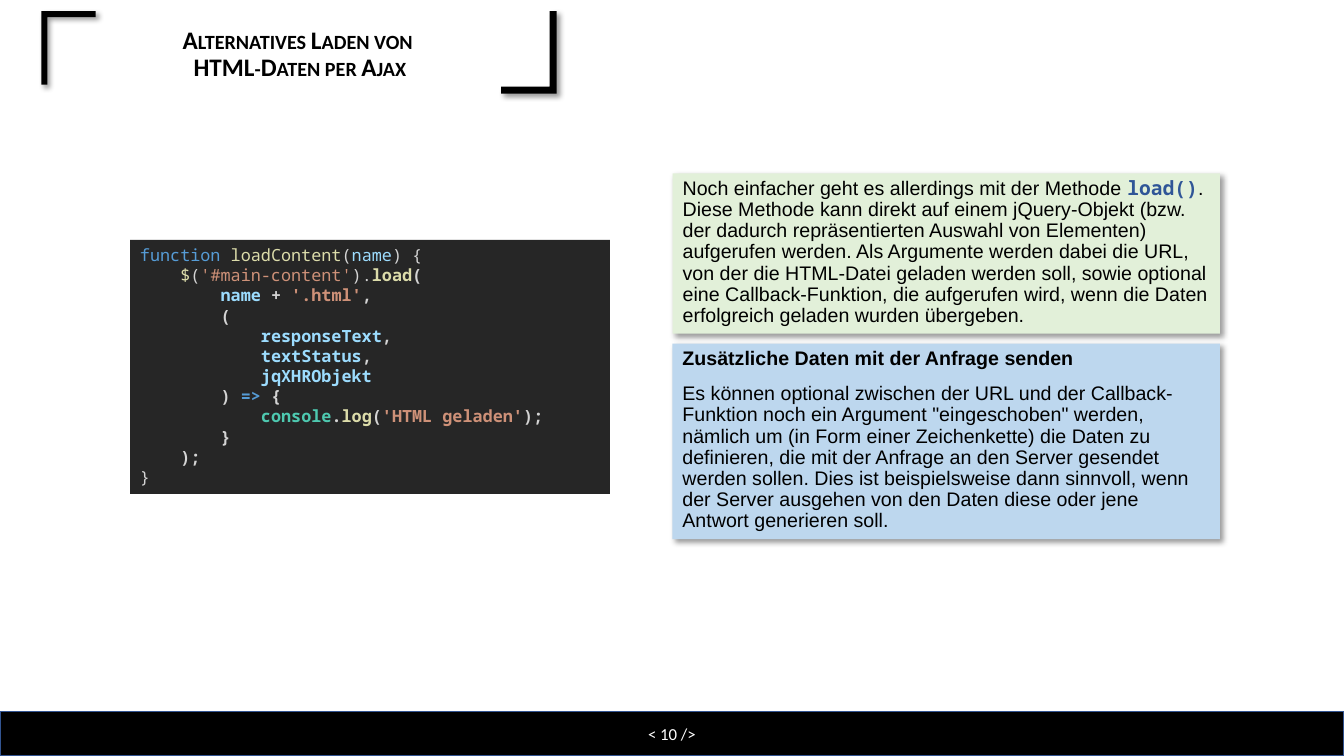
from pptx import Presentation
from pptx.dml.color import RGBColor
from pptx.enum.shapes import MSO_SHAPE as Shape
from pptx.enum.text import MSO_ANCHOR as Anchor, MSO_AUTO_SIZE as AutoSize, PP_ALIGN as Align
from pptx.oxml import parse_xml
from pptx.oxml.ns import nsdecls, qn
from pptx.util import Inches, Pt

THEME = {
    "black": "000000", "white": "FFFFFF", "footer_line": "325491",
    "green": "E2F0D9", "blue": "BDD7EE", "code_back": "262626", "method": "2F5597",
    "keyword": "569CD6", "call": "DCDCAA", "plain": "D4D4D4",
    "variable": "9CDCFE", "string": "CE9178", "object": "4EC9B0",
    "title_size": 18, "text_size": 14, "code_size": 12, "footer_size": 12,
    "title_font": "Calibri", "text_font": "Arial", "code_font": "Noto Sans Mono",
}

TITLE = "Alternatives Laden von \vHTML-Daten per Ajax"
FOOTER = "< 10 />"
LOAD_METHOD = [[
    ("Noch einfacher geht es allerdings mit der Methode ", "text", "black", False),
    ("load()", "code", "method", True),
    (". Diese Methode kann direkt auf einem jQuery-Objekt (bzw. der dadurch repräsentierten "
     "Auswahl von Elementen) aufgerufen werden. Als Argumente werden dabei die URL, von der die "
     "HTML-Datei geladen werden soll, sowie optional eine Callback-Funktion, die aufgerufen wird, "
     "wenn die Daten erfolgreich geladen wurden übergeben.", "text", "black", False),
]]
EXTRA_DATA = [
    [("Zusätzliche Daten mit der Anfrage senden", "text", "black", True)],
    [("Es können optional zwischen der URL und der Callback-Funktion noch ein Argument "
      "\"eingeschoben\" werden, nämlich um (in Form einer Zeichenkette) die Daten zu definieren, "
      "die mit der Anfrage an den Server gesendet werden sollen. Dies ist beispielsweise dann "
      "sinnvoll, wenn der Server ausgehen von den Daten diese oder jene Antwort generieren soll.",
      "text", "black", False)],
]
REGULAR = 99
CODE = [
    (0, REGULAR, [("function ", "keyword"), ("loadContent", "call"), ("(", "plain"),
                  ("name", "variable"), (") {", "plain")]),
    (1, 4, [("$", "call"), ("(", "plain"), ("'#main-content'", "string"), (").", "plain"),
            ("load", "call"), ("(", "plain")]),
    (2, 0, [("name", "variable"), (" + ", "plain"), ("'.html'", "string"), (",", "plain")]),
    (2, 0, [("(", "plain")]),
    (3, 0, [("responseText", "variable"), (",", "plain")]),
    (3, 0, [("textStatus", "variable"), (",", "plain")]),
    (3, 0, [("jqXHRObjekt", "variable")]),
    (2, 0, [(") ", "plain"), ("=>", "keyword"), (" {", "plain")]),
    (3, 0, [("console", "object"), (".", "plain"), ("log", "call"), ("(", "plain"),
            ("'HTML geladen'", "string"), (");", "plain")]),
    (2, 0, [("}", "plain")]),
    (1, 0, [(");", "plain")]),
    (0, REGULAR, [("}", "plain")]),
]
CORNERS = [
    [(0.41, 0.11), (0.95, 0.11), (0.95, 0.17), (0.47, 0.17), (0.47, 0.84), (0.41, 0.84)],
    [(5.45, 0.11), (5.52, 0.11), (5.52, 0.93), (4.97, 0.93), (4.97, 0.86), (5.45, 0.86)],
]
INDENT = 0.4


def apply(target, formats):
    for name, value in formats.items():
        setattr(target, name, value)


def color(name):
    return RGBColor.from_string(THEME[name])


def place(shape, left, top, width, height):
    apply(shape, {"left": Inches(left), "top": Inches(top),
                  "width": Inches(width), "height": Inches(height)})


def paint(shape, fill, shadow=False):
    shape.fill.solid()
    shape.fill.fore_color.rgb = color(fill)
    shape.line.fill.background()
    shape.shadow.inherit = False
    if shadow:
        shape._element.spPr.find(qn("a:effectLst")).append(parse_xml(
            f'<a:outerShdw {nsdecls("a")} blurRad="{Pt(4)}" dist="{Pt(3)}" dir="2700000" '
            'algn="tl" rotWithShape="0"><a:srgbClr val="000000"><a:alpha val="40000"/>'
            '</a:srgbClr></a:outerShdw>'))


def style(run, kind, run_color, bold=False):
    apply(run.font, {"name": THEME[f"{kind}_font"], "size": Pt(THEME[f"{kind}_size"]),
                     "bold": bold})
    run.font.color.rgb = color(run_color)


def next_paragraph(frame, index):
    return frame.add_paragraph() if index else frame.paragraphs[0]


def add_text(paragraph, text, kind, run_color, bold):
    run = paragraph.add_run()
    run.text = text
    style(run, kind, run_color, bold)
    return run


def fill_panel(panel, box, fill, paragraphs):
    place(panel, *box)
    paint(panel, fill, shadow=True)
    frame = panel.text_frame
    apply(frame, {"word_wrap": True, "auto_size": AutoSize.NONE,
                  "vertical_anchor": Anchor.TOP})
    for index, runs in enumerate(paragraphs):
        paragraph = next_paragraph(frame, index)
        apply(paragraph, {"alignment": Align.LEFT, "line_spacing": 0.9, "space_before": Pt(10)})
        properties = paragraph._p.get_or_add_pPr()
        properties.set("marL", "0")
        properties.set("indent", "0")
        properties.append(parse_xml(f'<a:buNone {nsdecls("a")}/>'))
        for text, kind, run_color, bold in runs:
            run = add_text(paragraph, text, kind, run_color, bold)
            run.font.size = Pt(THEME["text_size"])


def add_title(title):
    place(title, 0.53, 0.24, 4.89, 0.6)
    apply(title.text_frame, {"word_wrap": True, "vertical_anchor": Anchor.MIDDLE,
                             "auto_size": AutoSize.NONE})
    title.text_frame.text = TITLE
    paragraph = title.text_frame.paragraphs[0]
    apply(paragraph, {"alignment": Align.CENTER, "line_spacing": 0.9})
    for run in paragraph.runs:
        style(run, "title", "black", True)
        run.font._element.set("cap", "small")


def add_corners(shapes):
    for points in CORNERS:
        start, *rest = [(Inches(x), Inches(y)) for x, y in points]
        builder = shapes.build_freeform(*start)
        builder.add_line_segments(rest, close=True)
        paint(builder.convert_to_shape(), "black", shadow=True)


def add_rectangle(shapes, box, fill):
    rectangle = shapes.add_shape(Shape.RECTANGLE, *map(Inches, box))
    paint(rectangle, fill)
    return rectangle


def add_footer(shapes):
    footer = add_rectangle(shapes, (0, 7.06, 13.33, 0.44), "black")
    footer.line.color.rgb = color("footer_line")
    footer.line.width = Pt(1)
    apply(footer.text_frame, {"vertical_anchor": Anchor.MIDDLE,
                              "margin_top": Inches(0.12), "margin_bottom": Inches(0.12)})
    paragraph = footer.text_frame.paragraphs[0]
    paragraph.alignment = Align.CENTER
    run = paragraph.add_run()
    run.text = FOOTER
    apply(run.font, {"name": THEME["title_font"], "size": Pt(THEME["footer_size"])})
    run.font.color.rgb = color("white")


def add_code(shapes):
    listing = add_rectangle(shapes, (1.29, 2.38, 4.76, 2.52), "code_back")
    frame = listing.text_frame
    apply(frame, {"word_wrap": True, "vertical_anchor": Anchor.TOP,
                  "auto_size": AutoSize.SHAPE_TO_FIT_TEXT})
    for index, (level, bold_from, tokens) in enumerate(CODE):
        paragraph = next_paragraph(frame, index)
        paragraph.alignment = Align.LEFT
        paragraph._p.get_or_add_pPr().set("marL", str(Inches(INDENT * level)))
        for position, (text, token) in enumerate(tokens):
            add_text(paragraph, text, "code", token, position >= bold_from)


def main():
    deck = Presentation()
    apply(deck, {"slide_width": Inches(13.33), "slide_height": Inches(7.5)})
    slide = deck.slides.add_slide(deck.slide_layouts[1])
    shapes = slide.shapes
    add_corners(shapes)
    add_footer(shapes)
    add_title(shapes.title)
    fill_panel(slide.placeholders[1], (6.67, 1.72, 5.43, 1.59), "green", LOAD_METHOD)
    add_code(shapes)
    extra_data = shapes.add_shape(Shape.RECTANGLE, 0, 0, 0, 0)
    fill_panel(extra_data, (6.67, 3.41, 5.43, 1.94), "blue", EXTRA_DATA)
    deck.save("out.pptx")


if __name__ == "__main__":
    main()
